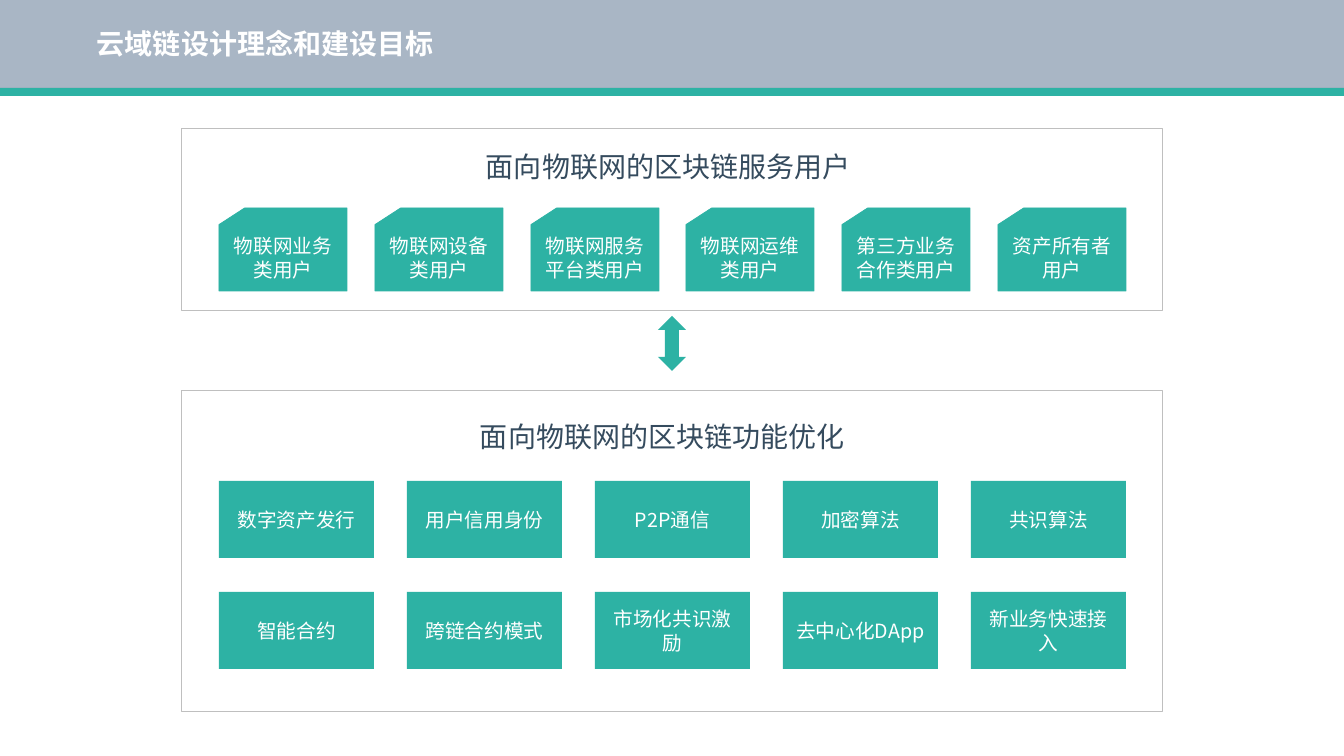
from lxml import etree
from pptx import Presentation
from pptx.dml.color import RGBColor
from pptx.enum.shapes import MSO_SHAPE
from pptx.enum.text import MSO_ANCHOR, PP_ALIGN
from pptx.oxml.ns import qn
from pptx.util import Pt

RECT = MSO_SHAPE.RECTANGLE
CARD = MSO_SHAPE.FLOWCHART_CARD
ARROW = MSO_SHAPE.UP_DOWN_ARROW
MIDDLE = MSO_ANCHOR.MIDDLE
CENTER = PP_ALIGN.CENTER
FONT = "Noto Sans CJK SC"
TEAL, WHITE, NAVY, GREY = "2DB2A4", "FFFFFF", "354B5E", "BFBFBF"
PX = 914400 / 100.8

deck = Presentation()
deck.slide_width, deck.slide_height = round(1344 * PX), round(756 * PX)
slide = deck.slides.add_slide(deck.slide_layouts[6])
rgb = RGBColor.from_string


def block(kind, box, fill=None, line=None):
    shape = slide.shapes.add_shape(kind, *[round(n * PX) for n in box])
    shape.shadow.inherit = False
    if fill:
        shape.fill.solid()
        shape.fill.fore_color.rgb = rgb(fill)
    else:
        shape.fill.background()
    if line:
        shape.line.color.rgb = rgb(line)
        shape.line.width = Pt(0.5)
    else:
        shape.line.fill.background()
    return shape


def write(shape, text, size, color):
    frame = shape.text_frame
    frame.word_wrap = True
    frame.text = text
    font = frame.paragraphs[0].runs[0].font
    font.size = Pt(size)
    font.color.rgb = rgb(color)
    font.name = FONT
    props = frame.paragraphs[0].runs[0]._r.get_or_add_rPr()
    etree.SubElement(props, qn("a:ea")).set("typeface", FONT)
    return frame


block(RECT, (0, 88, 1344, 8), TEAL)
band = block(RECT, (0, 0, 1344, 88), "556F8C")
tint = band.fill._xPr.find(qn("a:solidFill"))[0]
etree.SubElement(tint, qn("a:alpha")).set("val", "50000")

title = slide.shapes.add_textbox(*[round(n * PX) for n in (87, 25, 1159, 62)])
head = write(title, "云域链设计理念和建设目标", 20, WHITE).paragraphs[0]
head.line_spacing = 0.9
head.runs[0].font.bold = True

panels = [
    ("面向物联网的区块链服务用户", 128, 182, 486, 149),
    ("面向物联网的区块链功能优化", 390, 321, 480, 419),
]
for text, top, tall, left, y in panels:
    block(RECT, (181, top, 981, tall), line=GREY)
    label = slide.shapes.add_textbox(*[round(n * PX) for n in (left, y, 371, 34)])
    frame = write(label, text, 20, NAVY)
    frame.margin_left = frame.margin_right = 0
    frame.margin_top = frame.margin_bottom = 0

users = ["物联网业务类用户", "物联网设备类用户", "物联网服务平台类用户",
         "物联网运维类用户", "第三方业务合作类用户", "资产所有者用户"]
basics = ["数字资产发行", "用户信用身份", "P2P通信", "加密算法", "共识算法"]
extras = ["智能合约", "跨链合约模式", "市场化共识激励", "去中心化DApp", "新业务快速接入"]
rows = [
    (users, CARD, 208, 128, 83, TEAL),
    (basics, RECT, 481, 155, 77, None),
    (extras, RECT, 592, 155, 77, None),
]
for names, kind, top, wide, tall, line in rows:
    step = (907 - wide) / (len(names) - 1)
    for i, name in enumerate(names):
        tile = block(kind, (round(219 + i * step), top, wide, tall), TEAL, line)
        frame = write(tile, name, 14, WHITE)
        frame.vertical_anchor = MIDDLE
        frame.paragraphs[0].alignment = CENTER

block(ARROW, (658, 316, 28, 55), TEAL)

deck.save("out.pptx")
